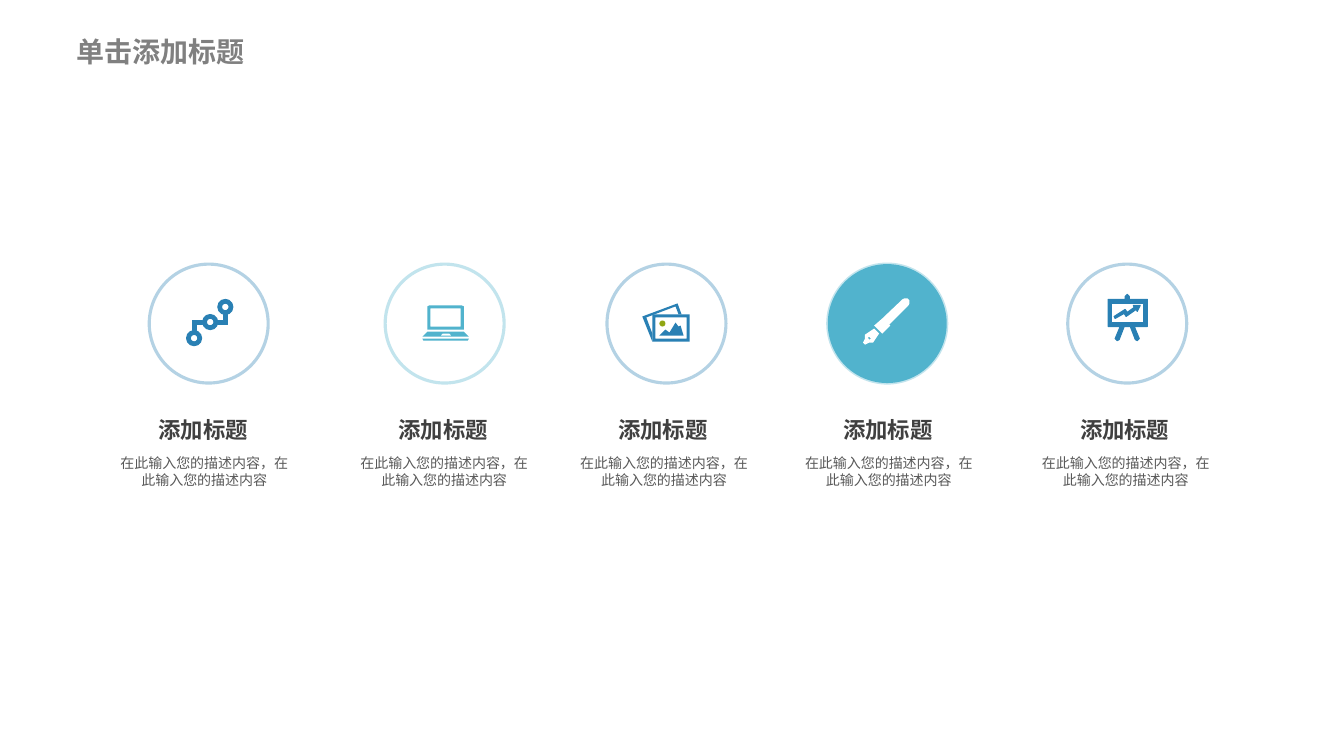
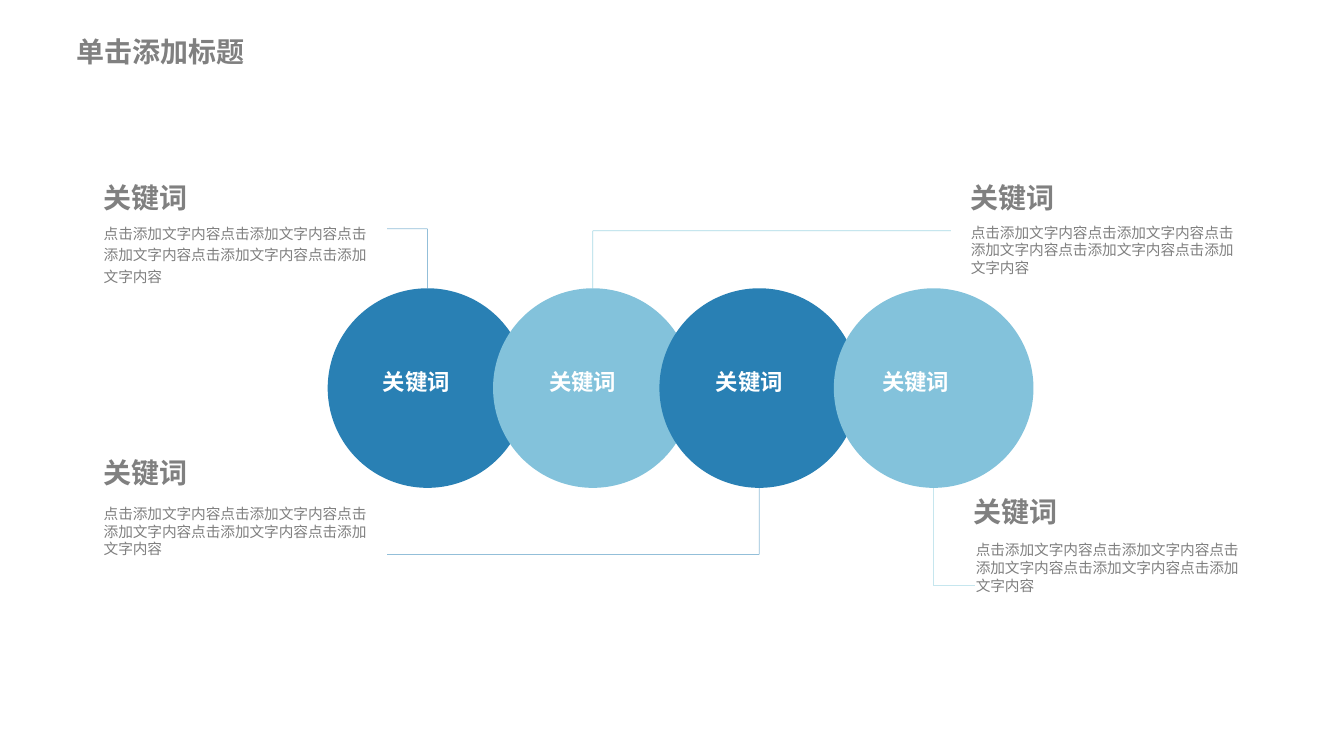
import pptx
import pptx.util
import pptx.dml.color
import pptx.enum.shapes
import pptx.enum.text
import pptx.oxml
import pptx.oxml.ns

Inches = pptx.util.Inches
RGB = pptx.dml.color.RGBColor
SHAPE = pptx.enum.shapes.MSO_SHAPE
ALIGN = pptx.enum.text.PP_ALIGN
qn = pptx.oxml.ns.qn

# Shared style
FONT = "Noto Sans CJK SC"
BLUE = RGB(0x29, 0x80, 0xB4)
TEAL = RGB(0x51, 0xB3, 0xCD)
SKY = RGB(0x83, 0xC2, 0xDB)
OLIVE = RGB(0x90, 0xA6, 0x13)
WHITE = RGB(255, 255, 255)
GREY = RGB(0x80, 0x80, 0x80)
DARK = RGB(0x40, 0x40, 0x40)
MID = RGB(0x59, 0x59, 0x59)

TITLE = "单击添加标题"
TITLE_BOX = (0.66, 0.29, 3.3, 0.46)

# Slide 1 content: an icon is a list of (kind, colour, outline width, geometry)
NODES = [("donut", BLUE, 0.75, (x, y, 0.15, 0.15))
         for x, y in ((1.85, 3.28), (2.01, 3.12), (2.16, 2.97))] + [
    ("poly", BLUE, 0.75, [[(1.91, 3.28), (1.91, 3.18), (2.01, 3.18), (2.01, 3.22),
                           (1.95, 3.22), (1.95, 3.28)]]),
    ("poly", BLUE, 0.75, [[(2.26, 3.12), (2.26, 3.22), (2.16, 3.22), (2.16, 3.18),
                           (2.22, 3.18), (2.22, 3.12)]]),
]
LAPTOP = [
    ("poly", TEAL, 0, [[(4.24, 3.27), (4.24, 3.04), (4.26, 3.03), (4.58, 3.03),
                        (4.6, 3.04), (4.6, 3.27)],
                       [(4.27, 3.24), (4.27, 3.06), (4.57, 3.06), (4.57, 3.24)]]),
    ("poly", TEAL, 0, [[(4.24, 3.29), (4.6, 3.29), (4.65, 3.34), (4.19, 3.34)],
                       [(4.37, 3.33), (4.39, 3.31), (4.46, 3.31), (4.48, 3.33)]]),
    ("poly", TEAL, 0, [[(4.19, 3.36), (4.65, 3.36), (4.64, 3.38), (4.2, 3.38)]]),
]
PHOTOS = [
    ("poly", BLUE, 0, [[(6.37, 3.14), (6.72, 3.01), (6.76, 3.12), (6.73, 3.12), (6.7, 3.04),
                        (6.41, 3.15), (6.47, 3.31), (6.47, 3.39)]]),
    ("poly", BLUE, 0, [[(6.47, 3.12), (6.84, 3.12), (6.84, 3.39), (6.47, 3.39)],
                       [(6.5, 3.15), (6.81, 3.15), (6.81, 3.36), (6.5, 3.36)]]),
    ("poly", BLUE, 0, [[(6.54, 3.33), (6.6, 3.27), (6.64, 3.3), (6.7, 3.2), (6.73, 3.24),
                        (6.75, 3.23), (6.78, 3.33)]]),
    ("oval", OLIVE, 0, (6.54, 3.18, 0.06, 0.06)),
]
PEN = [
    ("poly", WHITE, 0, [[(8.58, 3.32), (8.67, 3.26), (8.72, 3.31), (8.66, 3.4), (8.62, 3.4),
                         (8.58, 3.42), (8.56, 3.4), (8.58, 3.36)],
                        [(8.61, 3.35), (8.62, 3.34), (8.64, 3.36), (8.62, 3.37)]]),
    ("poly", WHITE, 0, [[(8.67, 3.23), (8.75, 3.16), (8.95, 2.97), (8.97, 2.96), (9, 2.96),
                         (9.02, 2.98), (9.02, 3.01), (9.01, 3.03), (8.82, 3.22),
                         (8.83, 3.23), (8.75, 3.31)]]),
]
EASEL = [
    ("poly", BLUE, 0.75, [[(10.99, 2.97), (11.16, 2.97), (11.16, 2.94), (11.18, 2.92),
                           (11.2, 2.94), (11.2, 2.97), (11.38, 2.97), (11.38, 3.24),
                           (11.25, 3.24), (11.3, 3.36), (11.28, 3.38), (11.26, 3.37),
                           (11.21, 3.24), (11.15, 3.24), (11.1, 3.37), (11.08, 3.38),
                           (11.06, 3.36), (11.11, 3.24), (10.99, 3.24)],
                          [(11.02, 3.01), (11.34, 3.01), (11.34, 3.2), (11.02, 3.2)]]),
    ("poly", BLUE, 0.75, [[(11.06, 3.16), (11.15, 3.11), (11.17, 3.14), (11.27, 3.07),
                           (11.28, 3.09), (11.31, 3.03), (11.24, 3.03), (11.25, 3.05),
                           (11.18, 3.1), (11.16, 3.07), (11.05, 3.14)]]),
]
ITEM_HEAD = "添加标题"
ITEM_BODY = "在此输入您的描述内容，在此输入您的描述内容"
# circle left, text left, ring colour, fill, icon
ITEMS = [
    (1.48, 1.04, BLUE, None, NODES),
    (3.82, 3.42, TEAL, None, LAPTOP),
    (6.02, 5.6, BLUE, None, PHOTOS),
    (8.21, 7.83, TEAL, TEAL, PEN),
    (10.59, 10.18, BLUE, None, EASEL),
]
RING_TOP, RING = 2.62, 1.18

# Slide 2 content
KEYWORD = "关键词"
KEY_BODY = "点击添加文字内容" * 5
# left, heading top, body left, body top, line spacing of the body
NOTES = [
    (0.93, 1.61, 0.93, 2.15, 1.2),
    (9.53, 1.61, 9.53, 2.17, None),
    (9.56, 4.72, 9.58, 5.32, None),
    (0.93, 4.34, 0.93, 4.96, None),
]
# circle left, fill, line colour, level and far end of the leader line
DISCS = [
    (3.25, BLUE, BLUE, 2.27, 3.84),
    (4.89, SKY, TEAL, 2.29, 9.43),
    (6.54, BLUE, BLUE, 5.5, 3.84),
    (8.27, SKY, TEAL, 5.81, 9.67),
]
DISC_TOP, DISC = 2.86, 1.98
LABEL_LEFT, LABEL_STEP = 3.7, 1.65


def write(sh, text, size, color, bold=False, align=ALIGN.LEFT, spacing=None):
    tf = sh.text_frame
    tf.word_wrap = True
    tf.auto_size = pptx.enum.text.MSO_AUTO_SIZE.NONE
    tf.vertical_anchor = pptx.enum.text.MSO_ANCHOR.TOP
    p = tf.paragraphs[0]
    p.alignment = align
    if spacing:
        p.line_spacing = spacing
    r = p.add_run()
    r.text = text
    r.font.size = pptx.util.Pt(size)
    r.font.bold = bold
    r.font.color.rgb = color
    r.font.name = FONT
    r._r.get_or_add_rPr().append(
        pptx.oxml.parse_xml('<a:ea %s typeface="%s"/>' % (pptx.oxml.ns.nsdecls("a"), FONT)))


def add_text(s, box, text, size, color, **fmt):
    write(s.shapes.add_textbox(*map(Inches, box)), text, size, color, **fmt)


def set_line(line, color, width, opacity=100):
    line.color.rgb = color
    line.width = pptx.util.Pt(width)
    if opacity < 100:
        clr = line._get_or_add_ln().find(".//" + qn("a:srgbClr"))
        clr.append(pptx.oxml.parse_xml(
            '<a:alpha %s val="%d"/>' % (pptx.oxml.ns.nsdecls("a"), opacity * 1000)))


def paint(sh, fill, line=None, width=0, opacity=100):
    sh.shadow.inherit = False
    if fill is None:
        sh.fill.background()
    else:
        sh.fill.solid()
        sh.fill.fore_color.rgb = fill
    if width:
        set_line(sh.line, line, width, opacity)
    else:
        sh.line.fill.background()
    return sh


def add_shape(shapes, kind, box, fill, *line):
    return paint(shapes.add_shape(kind, *map(Inches, box)), fill, *line)


def add_outline(shapes, contours, color, width):
    rings = [[(Inches(x), Inches(y)) for x, y in c] for c in contours]
    fb = shapes.build_freeform(*rings[0][0])
    for i, ring in enumerate(rings):
        if i:
            fb.move_to(*ring[0])
        fb.add_line_segments(ring[1:], close=True)
    paint(fb.convert_to_shape(), color, color, width)


def add_line(s, x1, y1, x2, y2, color):
    c = s.shapes.add_connector(pptx.enum.shapes.MSO_CONNECTOR.STRAIGHT,
                               *map(Inches, (x1, y1, x2, y2)))
    set_line(c.line, color, 0.5, 50)
    c._element.spPr.append(
        pptx.oxml.parse_xml("<a:effectLst %s/>" % pptx.oxml.ns.nsdecls("a")))
    return c


def new_slide(prs):
    s = prs.slides.add_slide(prs.slide_layouts[5])
    t = s.shapes.title
    t.left, t.top, t.width, t.height = map(Inches, TITLE_BOX)
    write(t, TITLE, 20, GREY, bold=True)
    return s


def icons_slide(prs):
    s = new_slide(prs)
    for left, text_left, ring, fill, icon in ITEMS:
        # Ring with its icon
        g = s.shapes.add_group_shape().shapes
        add_shape(g, SHAPE.OVAL, (left, RING_TOP, RING, RING), fill, ring, 2.25, 35)
        for kind, color, width, geometry in icon:
            if kind == "poly":
                add_outline(g, geometry, color, width)
            elif kind == "donut":
                add_shape(g, SHAPE.DONUT, geometry, color, color, width)
            else:
                add_shape(g, SHAPE.OVAL, geometry, color)
        # Caption
        add_text(s, (text_left, 4.46, 1.97, 0.45), ITEM_BODY, 10, MID, align=ALIGN.CENTER)
        add_text(s, (text_left + 0.02, 4.08, 1.91, 0.39), ITEM_HEAD, 16, DARK,
                 bold=True, align=ALIGN.CENTER)


def keywords_slide(prs):
    s = new_slide(prs)
    # Overlapping discs with labels and leader lines
    for i, (left, fill, color, level, end) in enumerate(DISCS):
        disc = add_shape(s.shapes, SHAPE.OVAL, (left, DISC_TOP, DISC, DISC), fill)
        label = add_shape(s.shapes, SHAPE.RECTANGLE,
                          (LABEL_LEFT + i * LABEL_STEP, 3.6, 1.28, 0.59), fill)
        write(label, KEYWORD, 16, WHITE, bold=True)
        x = left + DISC / 2
        above = level < DISC_TOP
        riser = add_line(s, x, DISC_TOP if above else DISC_TOP + DISC, x, level, color)
        if above:
            riser.begin_connect(disc, 0)
        add_line(s, x, level, end, level, color)
    # Notes in the four corners
    for left, top, body_left, body_top, spacing in NOTES:
        add_text(s, (left, top, 2.91, 0.41), KEYWORD, 20, GREY, bold=True, spacing=1.4)
        add_text(s, (body_left, body_top, 2.91, 1.2), KEY_BODY, 10.5, GREY, spacing=spacing)


def main():
    prs = pptx.Presentation()
    prs.slide_width, prs.slide_height = Inches(13.33), Inches(7.5)
    icons_slide(prs)
    keywords_slide(prs)
    prs.save("out.pptx")


if __name__ == "__main__":
    main()
